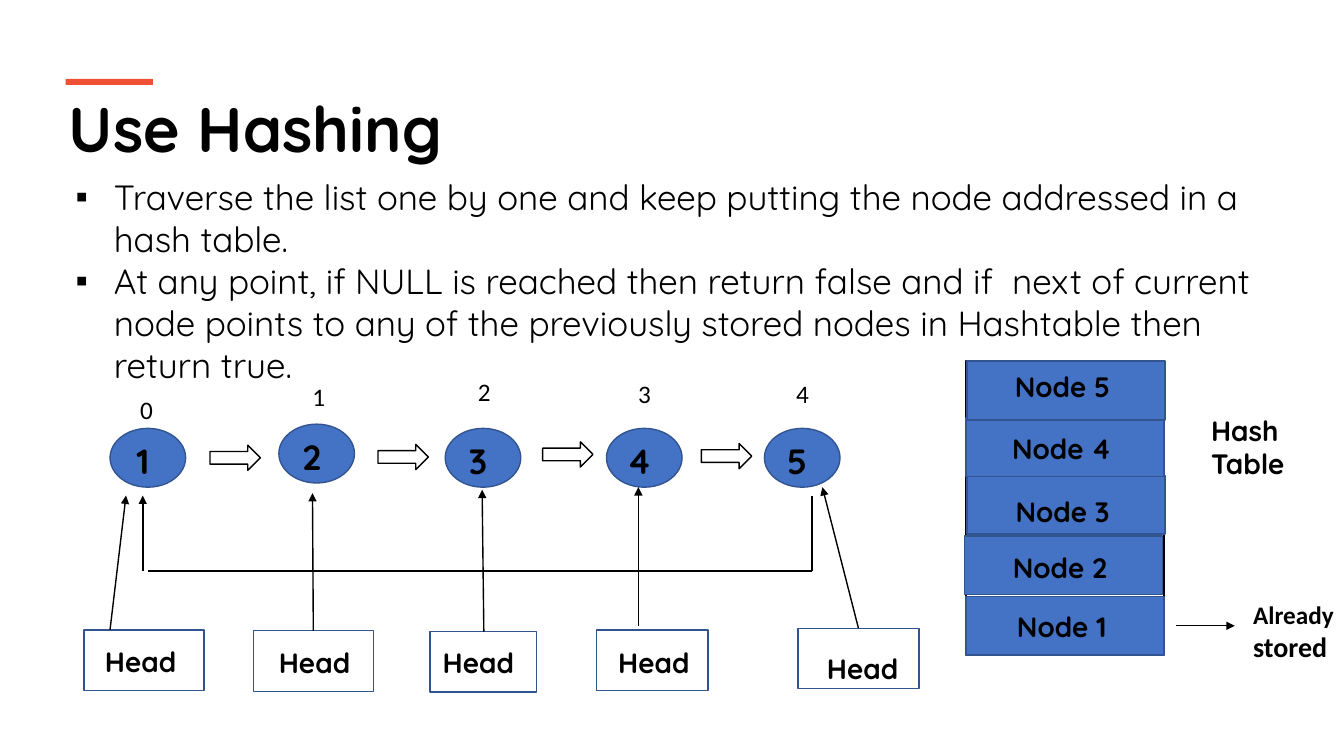
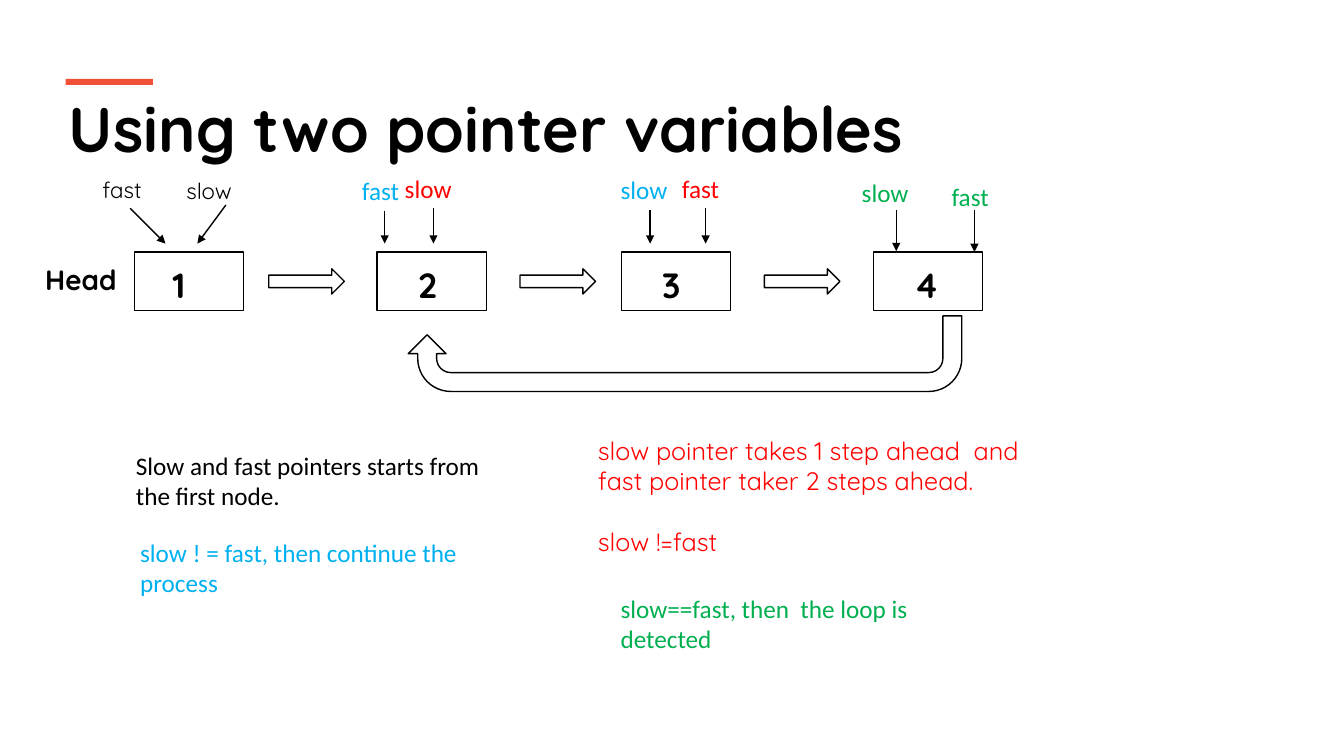
import pptx
import pptx.util
import pptx.dml.color
import pptx.enum.shapes
import pptx.enum.text
import pptx.oxml.ns
from lxml import etree

COLS, ROWS = 160, 90
CELL = pptx.util.Inches(1 / 12)
HEAD, TEXT = "Quicksand", "Calibri"
HUES = {
    "ink": "000000", "paper": "FFFFFF", "accent": "F05136",
    "node": "4472C4", "edge": "325491",
    "red": "FF0000", "blue": "00B0F0", "green": "00B050",
}
KIND = pptx.enum.shapes.MSO_SHAPE
LEFT = pptx.enum.text.PP_ALIGN.LEFT
MID = pptx.enum.text.PP_ALIGN.CENTER
TOP = pptx.enum.text.MSO_ANCHOR.TOP
CENTRE = pptx.enum.text.MSO_ANCHOR.MIDDLE


def grid(*cells):
    return [round(cell * CELL) for cell in cells]


def hue(name):
    return pptx.dml.color.RGBColor.from_string(HUES[name])


def child(node, tag, **attrs):
    return etree.SubElement(node, pptx.oxml.ns.qn(tag), attrs)


def place(shape, box):
    shape.left, shape.top, shape.width, shape.height = grid(*box)


def write(frame, lines, size, font=HEAD, color="ink", bold=False,
          align=LEFT, anchor=TOP, gap=0, bullet=None):
    """Fill a frame; gap is the space in points before later paragraphs."""
    frame.word_wrap = True
    frame.auto_size = pptx.enum.text.MSO_AUTO_SIZE.NONE
    frame.vertical_anchor = anchor
    for i, line in enumerate(lines):
        para = frame.paragraphs[0] if i == 0 else frame.add_paragraph()
        para.text = line
        para.alignment = align
        para.space_before = pptx.util.Pt(gap if i else 0)
        if bullet:
            props = para._p.get_or_add_pPr()
            props.set("marL", str(pptx.util.Inches(0.38)))
            props.set("indent", str(-pptx.util.Inches(0.38)))
            child(props, "a:buFont", typeface="Arial")
            child(props, "a:buChar", char=bullet)
        para.font.size = pptx.util.Pt(size)
        para.font.name = font
        para.font.bold = bold
        para.font.color.rgb = hue(color)


def label(slide, box, lines, size, **style):
    shape = slide.shapes.add_textbox(*grid(*box))
    shape.text_frame.margin_right = 0
    write(shape.text_frame, lines, size, **style)
    return shape


def block(slide, kind, box, fill="paper", line="ink"):
    shape = slide.shapes.add_shape(kind, *grid(*box))
    shape.shadow.inherit = False
    shape.fill.solid()
    shape.fill.fore_color.rgb = hue(fill)
    if line:
        shape.line.color.rgb = hue(line)
        shape.line.width = pptx.util.Pt(1)
    else:
        shape.line.fill.background()
    return shape


def named(slide, kind, box, word, size, shift=(0, 0), **paint):
    """Draw a block with a bold word, shifted from its centre."""
    frame = block(slide, kind, box, **paint).text_frame
    dx, dy = shift
    frame.margin_left, frame.margin_right, frame.margin_top, frame.margin_bottom = grid(
        max(2 * dx, 0), max(-2 * dx, 0), max(2 * dy, 0), max(-2 * dy, 0))
    write(frame, [word], size, bold=True, align=MID, anchor=CENTRE)


def link(slide, ends, width=1, arrow=True):
    line = slide.shapes.add_connector(
        pptx.enum.shapes.MSO_CONNECTOR.STRAIGHT, *grid(*ends))
    line.line.color.rgb = hue("ink")
    line.line.width = pptx.util.Pt(width)
    props = line._element.spPr
    if arrow:
        child(props.find(pptx.oxml.ns.qn("a:ln")), "a:tailEnd", type="triangle")
    child(props, "a:effectLst")


def start(deck, layout, title):
    """Add a slide with the shared title and accent bar."""
    slide = deck.slides.add_slide(deck.slide_layouts[layout])
    place(slide.shapes.title, (7, 10.1, 146.2, 10.3))
    write(slide.shapes.title.text_frame, [title], 45, bold=True)
    block(slide, KIND.RECTANGLE, (7.8, 9.4, 10.4, 0.7), "accent", None)
    return slide


def chain(slide):
    """Draw the linked list with its indexes and the loop back."""
    nodes = [(13.1, 51), (33.2, 50.5), (53, 51), (72.2, 51), (91, 51)]
    marks = [(15.5, 46.4), (36, 44.8), (55.7, 44.2), (74.8, 44.4), (93.6, 44.4)]
    for i, (node, mark) in enumerate(zip(nodes, marks)):
        named(slide, KIND.OVAL, (*node, 9, 7), str(i + 1), 25,
              (-0.6, 0.3), fill="node", line="edge")
        label(slide, (*mark, 5, 4.8), [str(i)], 18, font=TEXT)
    for spot in [(25, 53), (45, 52.9), (64.6, 52.6), (83.5, 52.8)]:
        block(slide, KIND.RIGHT_ARROW, (*spot, 6, 3))
    link(slide, (96.7, 59, 96.7, 68), 1.5, False)
    link(slide, (96.7, 68, 17.6, 68), 1.5, False)
    link(slide, (17, 68, 17, 59), 1.5)


def heads(slide):
    boxes = [
        ((10, 75, 14.3), (-0.4, 0.1), (13.1, 75, 15, 59)),
        ((30.2, 75.1, 14.3), (0.1, 0.1), (37.3, 75.1, 37.2, 58.7)),
        ((51.2, 75.2, 12.7), (-0.6, 0), (57.6, 75.2, 57.4, 58.3)),
        ((71, 75, 13.3), (0.2, 0.2), (76, 74.5, 76, 58)),
        ((95, 74.8, 14.4), (0.5, 1.1), (102.2, 74.8, 97.9, 58)),
    ]
    for box, shift, ends in boxes:
        named(slide, KIND.RECTANGLE, (*box, 7.2), "Head", 20, shift, line="edge")
        link(slide, ends)


def store(slide):
    """Draw the hash table, newest node on top."""
    block(slide, KIND.RECTANGLE, (115, 43, 23.6, 35))
    cells = [(115, 71, 0.1), (114.8, 63.8, 0.2), (115.1, 56.6, 0.8),
             (115, 49.7, 0.2), (115.1, 43, -0.5)]
    for i, (left, top, drop) in enumerate(cells, 1):
        named(slide, KIND.RECTANGLE, (left, top, 23.6, 7), f"Node {i}", 20,
              (-0.4, drop), fill="node", line="edge")
    label(slide, (143, 48.6, 13.1, 9.2), ["Hash", "Table"], 20, bold=True)
    link(slide, (140, 74.5, 147, 74.5))
    note = label(slide, (148, 70.8, 12, 8.9), ["Already", "stored"], 18,
                 font=TEXT, bold=True)
    note.text_frame.paragraphs[1].font.size = pptx.util.Pt(20)


def hashing(deck):
    slide = start(deck, 1, "Use Hashing")
    body = slide.placeholders[1]
    place(body, (7.8, 20.3, 147.1, 26))
    write(body.text_frame, [
        "Traverse the list one by one and keep putting the node addressed in a hash table.",
        "At any point, if NULL is reached then return false and if  next of current node "
        "points to any of the previously stored nodes in Hashtable then return true.",
    ], 25, bullet="▪")
    chain(slide)
    heads(slide)
    store(slide)


def pointers(deck):
    slide = start(deck, 5, "Using two pointer variables")
    for i, (left, dx) in enumerate([(16, -1.2), (44.9, -0.5), (74, -0.6), (104, -0.2)], 1):
        named(slide, KIND.RECTANGLE, (left, 30, 13, 7), str(i), 25, (dx, 0.4))
    for left in (32, 61.9, 91):
        block(slide, KIND.RIGHT_ARROW, (left, 32, 9, 3))
    block(slide, KIND.U_TURN_ARROW, (48.6, 37.6, 65.9, 9)).rotation = 180
    label(slide, (4.2, 30.7, 12, 5.3), ["Head"], 20, bold=True)

    steps = [
        ("fast", "ink", (11, 20.4), (15.5, 24.8, 19.7, 29)),
        ("slow", "ink", (21, 20.5), (26.9, 24.4, 23.5, 29)),
        ("fast", "blue", (41.9, 20.3), (45.8, 25.1, 45.8, 29)),
        ("slow", "red", (47, 20), (51.6, 24.8, 51.6, 29)),
        ("slow", "blue", (72.7, 20.2), (77.4, 25, 77.4, 29)),
        ("fast", "red", (80, 20), (84, 24.8, 84, 29)),
        ("slow", "green", (101.4, 20.5), (106.7, 25, 106.7, 29.9)),
        ("fast", "green", (112.1, 21), (116, 25, 116, 30)),
    ]
    for word, color, spot, ends in steps:
        size, font = (16, HEAD) if color == "ink" else (18, TEXT)
        label(slide, (*spot, 9, 4.8), [word], size, font=font, color=color)
        link(slide, ends)

    notes = [
        ((15, 53, 46.8, 8.5), TEXT, "ink",
         ["Slow and fast pointers starts from the first node."]),
        ((70, 51.2, 55.8, 15.7), HEAD, "red",
         ["slow pointer takes 1 step ahead  and fast pointer taker 2 steps ahead.",
          "slow !=fast"]),
        ((15.5, 63.4, 46.9, 8.5), TEXT, "blue",
         ["slow ! = fast, then continue the process"]),
        ((72.7, 70, 36.1, 8.5), TEXT, "green",
         ["slow==fast, then  the loop is detected"]),
    ]
    for box, font, color, lines in notes:
        label(slide, box, lines, 18, font=font, color=color, gap=22)


def main():
    deck = pptx.Presentation()
    deck.slide_width, deck.slide_height = grid(COLS, ROWS)
    hashing(deck)
    pointers(deck)
    deck.save("out.pptx")


if __name__ == "__main__":
    main()
